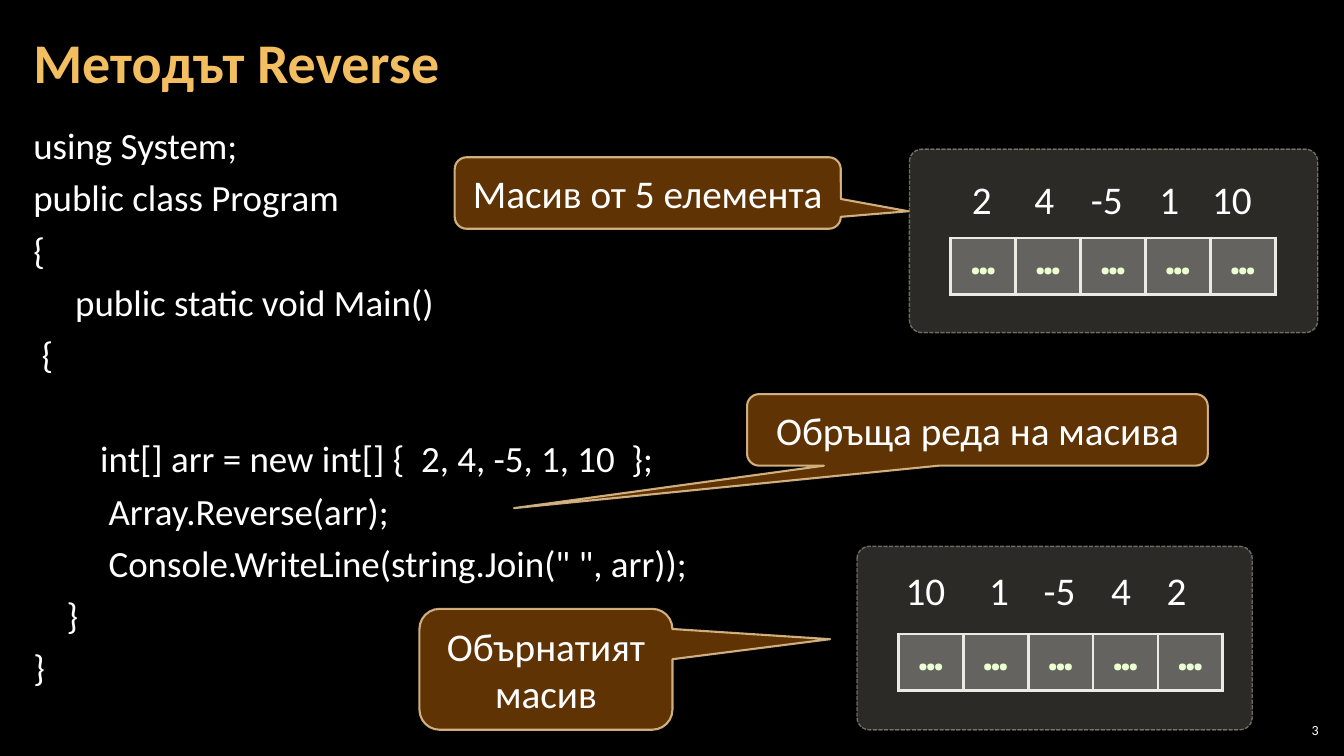
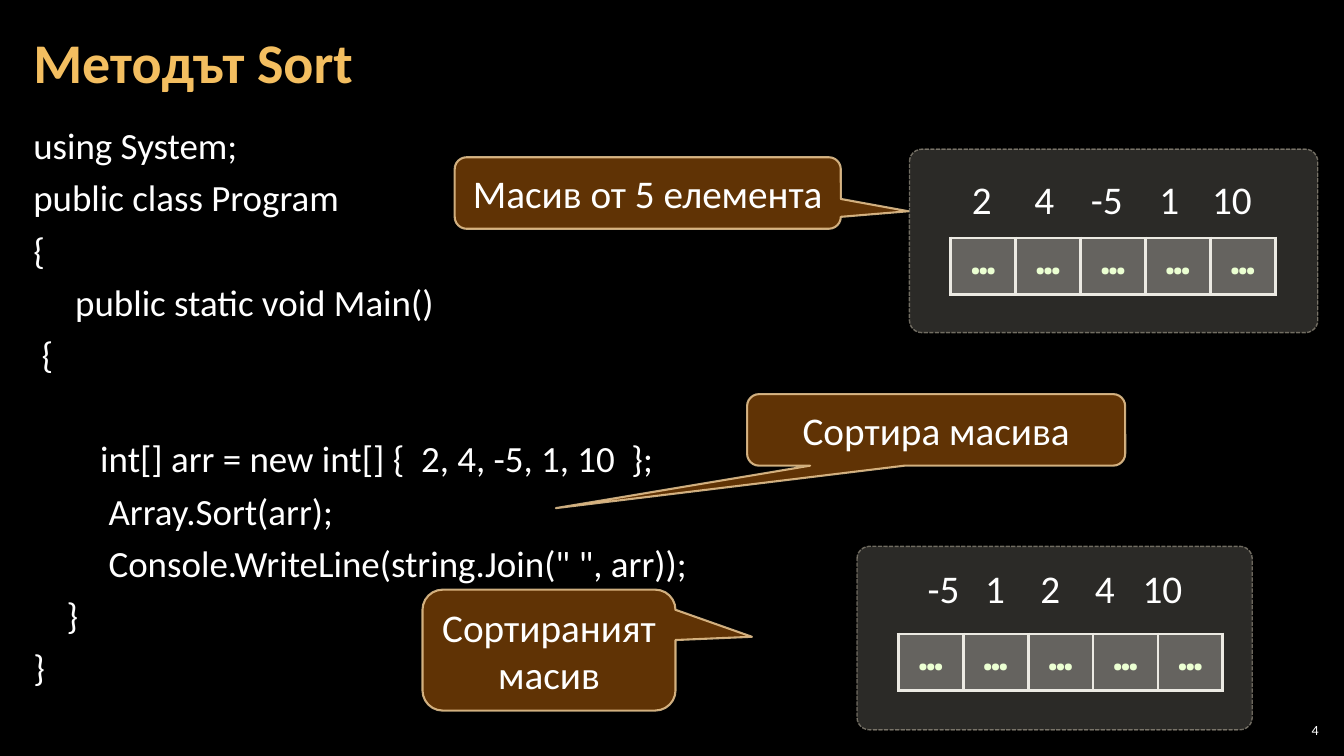
from lxml.etree import SubElement
from pptx import Presentation
from pptx.dml.color import RGBColor
from pptx.enum.dml import MSO_LINE
from pptx.enum.shapes import MSO_SHAPE as Preset
from pptx.enum.text import MSO_ANCHOR as Anchor, MSO_AUTO_SIZE as AutoSize, PP_ALIGN as Align
from pptx.oxml.ns import qn
from pptx.util import Emu, Pt

COLORS = {
    "background": "000000",
    "title": "F3BE60",
    "text": "FFFFFF",
    "panel": "D9D5C7",
    "panel_line": "C7BFAC",
    "callout": "663606",
    "callout_line": "F8D49E",
    "cell": "ECEAE3",
    "dots": "EBFFD2",
}
FONT = "Calibri"
DOTS_FONT = "Noto Sans Mono"
SPACE_WIDTH = 8.3
LINE_PITCH = 37


def px(length):
    return Emu(round(length * 9144))


def color(name):
    return RGBColor.from_string(COLORS[name])


def set_opacity(element, percent):
    for color_element in element.iter(qn("a:srgbClr")):
        SubElement(color_element, qn("a:alpha"), val=str(percent * 1000))


class Deck:
    def __init__(self):
        self.presentation = Presentation()
        self.presentation.slide_width = px(1333)
        self.presentation.slide_height = px(750)
        fill = self.presentation.slide_master.background.fill
        fill.solid()
        fill.fore_color.rgb = color("background")
        self.layout = self.presentation.slide_layouts.get_by_name("Title Only")
        self.slide = None

    def format_runs(self, paragraph, size, name="text", font=FONT, bold=False):
        for run in paragraph.runs:
            run.font.size = Pt(size)
            run.font.name = font
            run.font.bold = bold
            run.font.color.rgb = color(name)

    def set_frame(self, frame, anchor, side, edge):
        frame.word_wrap = True
        frame.auto_size = AutoSize.NONE
        frame.vertical_anchor = anchor
        frame.margin_left = frame.margin_right = px(side)
        frame.margin_top = frame.margin_bottom = px(edge)

    def text_box(self, box, anchor=Anchor.TOP, side=10, edge=5):
        frame = self.slide.shapes.add_textbox(*map(px, box)).text_frame
        self.set_frame(frame, anchor, side, edge)
        return frame

    def add_slide(self, title, number):
        self.slide = self.presentation.slides.add_slide(self.layout)
        placeholder = self.slide.shapes.title
        placeholder.left, placeholder.top = px(21), px(4)
        placeholder.width, placeholder.height = px(1047), px(121)
        frame = placeholder.text_frame
        frame.text = title
        self.set_frame(frame, Anchor.MIDDLE, 12, 4)
        paragraph = frame.paragraphs[0]
        paragraph.alignment = Align.LEFT
        paragraph.line_spacing = 0.9
        self.format_runs(paragraph, 40, "title", bold=True)

        frame = self.text_box((1265, 714, 47, 21), Anchor.MIDDLE, 4, 4)
        frame.text = str(number)
        frame.paragraphs[0].alignment = Align.RIGHT
        self.format_runs(frame.paragraphs[0], 10)

    def code(self, lines):
        frame = self.text_box((21, 126, 1291, 609), side=12, edge=4)
        frame.text = "\n".join(text for _, text, _ in lines)
        for paragraph, (indent, _, skipped) in zip(frame.paragraphs, lines):
            paragraph.line_spacing = 0.8
            paragraph.space_before = Pt(6)
            paragraph.space_after = Pt(6 + skipped * LINE_PITCH)
            properties = paragraph._p.get_or_add_pPr()
            properties.set("marL", str(px(indent * SPACE_WIDTH)))
            properties.set("indent", "0")
            self.format_runs(paragraph, 26.4)

    def shape(self, preset, box, adjustments, fill, fill_opacity, line_width, line_opacity):
        shape = self.slide.shapes.add_shape(preset, *map(px, box))
        shape.shadow.inherit = False
        for index, value in enumerate(adjustments):
            shape.adjustments[index] = value
        shape.fill.solid()
        shape.fill.fore_color.rgb = color(fill)
        shape.line.color.rgb = color(fill + "_line")
        shape.line.width = Pt(line_width)
        properties = shape.element.spPr
        set_opacity(properties.find(qn("a:solidFill")), fill_opacity)
        set_opacity(properties.find(qn("a:ln")), line_opacity)
        return shape

    def callout(self, text, box, tail):
        shape = self.shape(Preset.ROUNDED_RECTANGULAR_CALLOUT, box, (*tail, 0.167),
                           "callout", 95, 1.5, 80)
        frame = shape.text_frame
        frame.text = text
        self.set_frame(frame, Anchor.MIDDLE, 10, 5)
        frame.paragraphs[0].alignment = Align.CENTER
        self.format_runs(frame.paragraphs[0], 28)

    def panel(self, box):
        shape = self.shape(Preset.ROUNDED_RECTANGLE, box, (0.067,), "panel", 20, 1, 50)
        shape.line.dash_style = MSO_LINE.SQUARE_DOT

    def numbers(self, values, left, top, centers):
        frame = self.text_box((left, top, 323, 57))
        frame.text = "".join(f"\t{value}" for value in values)
        paragraph = frame.paragraphs[0]
        paragraph.alignment = Align.LEFT
        tabs = SubElement(paragraph._p.get_or_add_pPr(), qn("a:tabLst"))
        for center in centers:
            SubElement(tabs, qn("a:tab"), pos=str(px(center - left - 10)), algn="ctr")
        self.format_runs(paragraph, 28)

    def cells(self, left, top, count=5):
        frame = self.slide.shapes.add_table(1, count, *map(px, (left, top, 322, 56)))
        table = frame.table
        table.first_row = table.horz_banding = False
        for cell in table.iter_cells():
            cell.text_frame.text = "…"
            cell.vertical_anchor = Anchor.MIDDLE
            paragraph = cell.text_frame.paragraphs[0]
            paragraph.alignment = Align.CENTER
            paragraph.line_spacing = 0.5
            paragraph.space_before = Pt(11)
            self.format_runs(paragraph, 28, "dots", DOTS_FONT, True)
            properties = cell._tc.get_or_add_tcPr()
            cell.fill.solid()
            cell.fill.fore_color.rgb = color("cell")
            set_opacity(properties, 30)
            for position, side in enumerate("LRTB"):
                border = SubElement(properties, qn(f"a:ln{side}"), w=str(Pt(2.25)))
                fill = SubElement(border, qn("a:solidFill"))
                SubElement(fill, qn("a:srgbClr"), val=COLORS["cell"])
                properties.insert(position, border)

    def array_method(self, number, method, action, action_width, result, result_place,
                     result_tail, values, values_place, centers):
        self.add_slide(f"Методът {method}", number)
        self.code([
            (0, "using System;", 0),
            (0, "public class Program", 0),
            (0, "{", 0),
            (5, "public static void Main()", 0),
            (1, "{", 1),
            (8, "int[] arr = new int[] {  2, 4, -5, 1, 10  };", 0),
            (9, f"Array.{method}(arr);", 0),
            (9, 'Console.WriteLine(string.Join(" ", arr));', 0),
            (4, "}", 0),
            (0, "}", 0),
        ])
        self.panel((902, 148, 405, 182))
        self.numbers((2, 4, -5, 1, 10), 941, 169, range(974, 1223, 62))
        self.cells(943, 236)
        self.callout("Масив от 5 елемента", (451, 156, 383, 71), (0.675, 0.255))
        self.callout(action, (741, 391, action_width, 71), (-1.006, 1.094))
        self.callout(result, (*result_place, 251, 120), result_tail)
        self.panel((850, 542, 392, 182))
        self.cells(891, 629)
        self.numbers(values, *values_place, centers)


def main():
    deck = Deck()
    deck.array_method(3, "Reverse", "Обръща реда на масива", 457,
                      "Обърнатият масив", (416, 604), (1.123, -0.249),
                      (10, 1, -5, 4, 2), (875, 557), (918, 991, 1051, 1112, 1167))
    deck.array_method(4, "Sort", "Сортира масива", 375,
                      "Сортираният масив", (419, 585), (0.802, -0.11),
                      (-5, 1, 2, 4, 10), (884, 555), (936, 987, 1042, 1096, 1153))
    deck.presentation.save("out.pptx")


if __name__ == "__main__":
    main()
